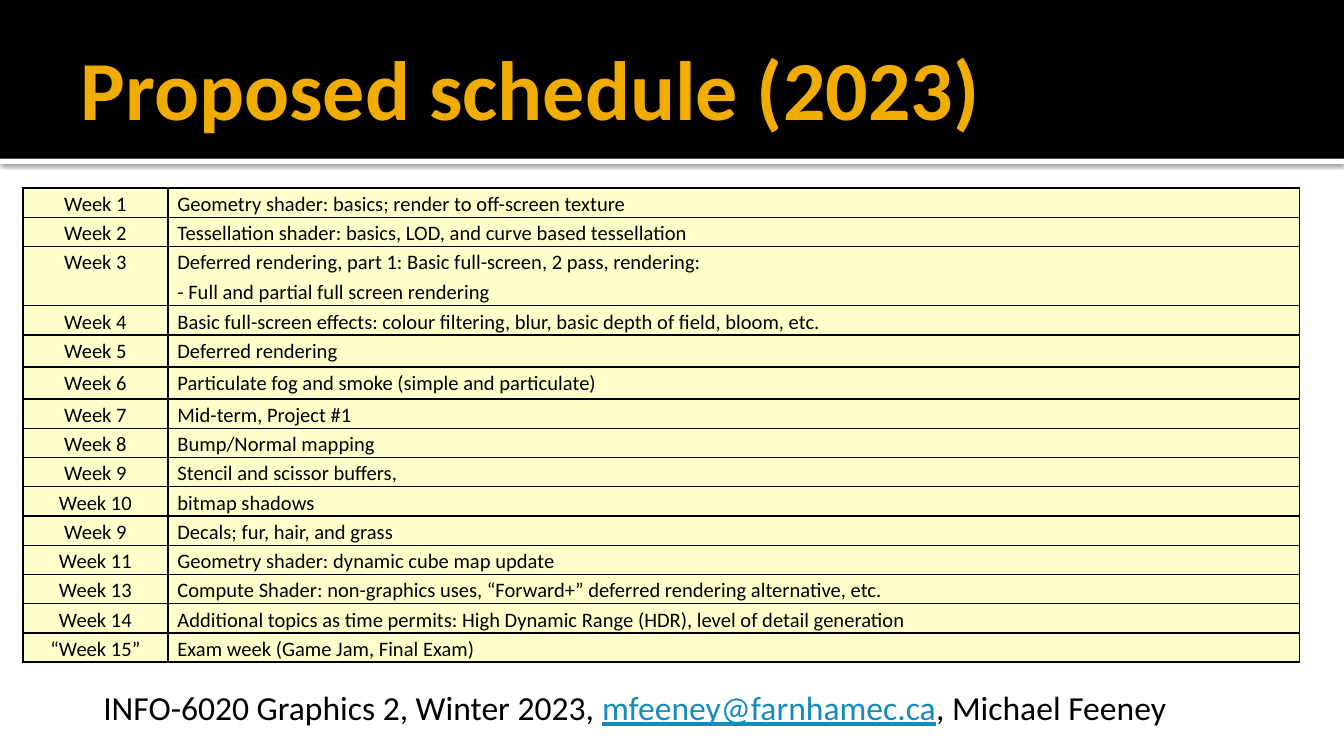
"""Build the weekly course schedule slide."""
from dataclasses import dataclass

from lxml import etree
from pptx import Presentation
from pptx.dml.color import RGBColor
from pptx.enum.shapes import MSO_SHAPE
from pptx.enum.text import MSO_ANCHOR, PP_ALIGN
from pptx.oxml import parse_xml
from pptx.oxml.ns import qn
from pptx.util import Inches, Pt

RECTANGLE = MSO_SHAPE.RECTANGLE
MIDDLE, TOP = MSO_ANCHOR.MIDDLE, MSO_ANCHOR.TOP
LEFT, CENTER = PP_ALIGN.LEFT, PP_ALIGN.CENTER
DRAWING = "http://schemas.openxmlformats.org/drawingml/2006/main"
WIDTH = 10
HEIGHT = WIDTH * 9 / 16
BAND_HEIGHT = 1.18
COLUMNS = (1.08, 8.42)
BLACK, WHITE, GOLD, CREAM, BLUE = "000000", "FFFFFF", "F0AD00", "FFFFCC", "168BBA"


@dataclass(frozen=True)
class Week:
    label: str
    topics: str
    height: float = 0.21


@dataclass(frozen=True)
class Span:
    text: str
    color: str = BLACK
    underline: bool = False


WEEKS = (
    Week("Week 1", "Geometry shader: basics; render to off-screen texture"),
    Week("Week 2", "Tessellation shader: basics, LOD, and curve based tessellation"),
    Week("Week 3", "Deferred rendering, part 1: Basic full-screen, 2 pass, rendering:\n"
         "- Full and partial full screen rendering", 0.44),
    Week("Week 4", "Basic full-screen effects: colour filtering, blur, "
         "basic depth of field, bloom, etc."),
    Week("Week 5", "Deferred rendering", 0.24),
    Week("Week 6", "Particulate fog and smoke (simple and particulate)", 0.24),
    Week("Week 7", "Mid-term, Project #1"),
    Week("Week 8", "Bump/Normal mapping"),
    Week("Week 9", "Stencil and scissor buffers, "),
    Week("Week 10", "bitmap shadows", 0.22),
    Week("Week 9", "Decals; fur, hair, and grass"),
    Week("Week 11", "Geometry shader: dynamic cube map update"),
    Week("Week 13", "Compute Shader: non-graphics uses, “Forward+” deferred "
         "rendering alternative, etc."),
    Week("Week 14", "Additional topics as time permits: High Dynamic Range (HDR), "
         "level of detail generation"),
    Week("“Week 15”", "Exam week (Game Jam, Final Exam)"),
)
CONTACT = (
    Span("INFO-6020 Graphics 2, Winter 2023, "),
    Span("mfeeney@farnhamec.ca", BLUE, True),
    Span(", Michael Feeney"),
)


def apply(target, formats: dict) -> None:
    """Set each named format value on the target."""
    for name, value in formats.items():
        setattr(target, name, value)


def paint(color_format, color: str) -> None:
    """Give a colour format a hex colour."""
    color_format.rgb = RGBColor.from_string(color)


def style_font(font, size: float, color: str, **formats) -> None:
    """Set the typeface, size, colour and other font values."""
    apply(font, {"name": "Calibri", "size": Pt(size), **formats})
    paint(font.color, color)


def add_band(page, top: float, height: float, color: str):
    """Draw a band across the whole page."""
    band = page.shapes.add_shape(
        RECTANGLE, 0, Inches(top), Inches(WIDTH), Inches(height))
    band.fill.solid()
    paint(band.fill.fore_color, color)
    band.line.fill.background()
    band.shadow.inherit = False
    return band


def add_shadow(shape) -> None:
    """Put a soft shadow below a shape."""
    effects = shape.element.spPr.find(qn("a:effectLst"))
    effects.append(parse_xml(
        f'<a:outerShdw xmlns:a="{DRAWING}" blurRad="{Pt(2.5)}" dist="{Pt(0.8)}" '
        f'dir="5400000"><a:srgbClr val="{BLACK}"><a:alpha val="60000"/>'
        '</a:srgbClr></a:outerShdw>'))


def add_title(page, text: str) -> None:
    """Place the title in front of the header bands."""
    title = page.shapes.title
    title.element.getparent().append(title.element)
    apply(title, {"left": Inches(0.5), "top": Inches(0.13),
                  "width": Inches(9), "height": Inches(1.03)})
    frame = title.text_frame
    apply(frame, {"text": text, "vertical_anchor": MIDDLE, "word_wrap": True,
                  "margin_left": Inches(0.1), "margin_right": Inches(0.05),
                  "margin_top": Inches(0.05), "margin_bottom": Inches(0.05)})
    para = frame.paragraphs[0]
    para.alignment = LEFT
    style_font(para.runs[0].font, 45, GOLD, bold=True)


def add_borders(cell) -> None:
    """Outline a cell on all four sides."""
    properties = cell._tc.get_or_add_tcPr()
    for index, side in enumerate(("lnL", "lnR", "lnT", "lnB")):
        border = etree.Element(qn(f"a:{side}"), w=str(Pt(1)))
        fill = etree.SubElement(border, qn("a:solidFill"))
        etree.SubElement(fill, qn("a:srgbClr"), val=BLACK)
        properties.insert(index, border)


def fill_cell(cell, text: str, alignment) -> None:
    """Write and format one table cell."""
    apply(cell, {"text": text, "vertical_anchor": TOP,
                 "margin_left": Inches(0.07), "margin_right": Inches(0.07),
                 "margin_top": 0, "margin_bottom": 0})
    cell.fill.solid()
    paint(cell.fill.fore_color, CREAM)
    add_borders(cell)
    for para in cell.text_frame.paragraphs:
        apply(para, {"alignment": alignment, "line_spacing": 1.15})
        style_font(para.runs[0].font, 11, BLACK)


def add_schedule(page, weeks: tuple[Week, ...]) -> None:
    """Add the table with one row per week."""
    height = sum(week.height for week in weeks)
    table = page.shapes.add_table(
        len(weeks), len(COLUMNS), Inches(0.17), Inches(1.4),
        Inches(sum(COLUMNS)), Inches(height)).table
    apply(table, {"first_row": False, "horz_banding": False})
    for column, width in zip(table.columns, COLUMNS):
        column.width = Inches(width)
    for row, week in zip(table.rows, weeks):
        row.height = Inches(week.height)
        fill_cell(row.cells[0], week.label, CENTER)
        fill_cell(row.cells[1], week.topics, LEFT)


def add_contact(page, spans: tuple[Span, ...]) -> None:
    """Add the course and contact line."""
    box = page.shapes.add_textbox(
        Inches(0.67), Inches(0.9 * HEIGHT), Inches(8.42), Inches(0.4))
    box.text_frame.word_wrap = True
    para = box.text_frame.paragraphs[0]
    for span in spans:
        run = para.add_run()
        run.text = span.text
        style_font(run.font, 18, span.color, underline=span.underline)


def main() -> None:
    """Create and save the deck."""
    deck = Presentation()
    apply(deck, {"slide_width": Inches(WIDTH), "slide_height": Inches(HEIGHT)})
    page = deck.slides.add_slide(deck.slide_layouts.get_by_name("Title Only"))
    add_shadow(add_band(page, BAND_HEIGHT, 0.04, WHITE))
    add_band(page, 0, BAND_HEIGHT, BLACK)
    add_title(page, "Proposed schedule (2023)")
    add_schedule(page, WEEKS)
    add_contact(page, CONTACT)
    deck.save("out.pptx")


main()
